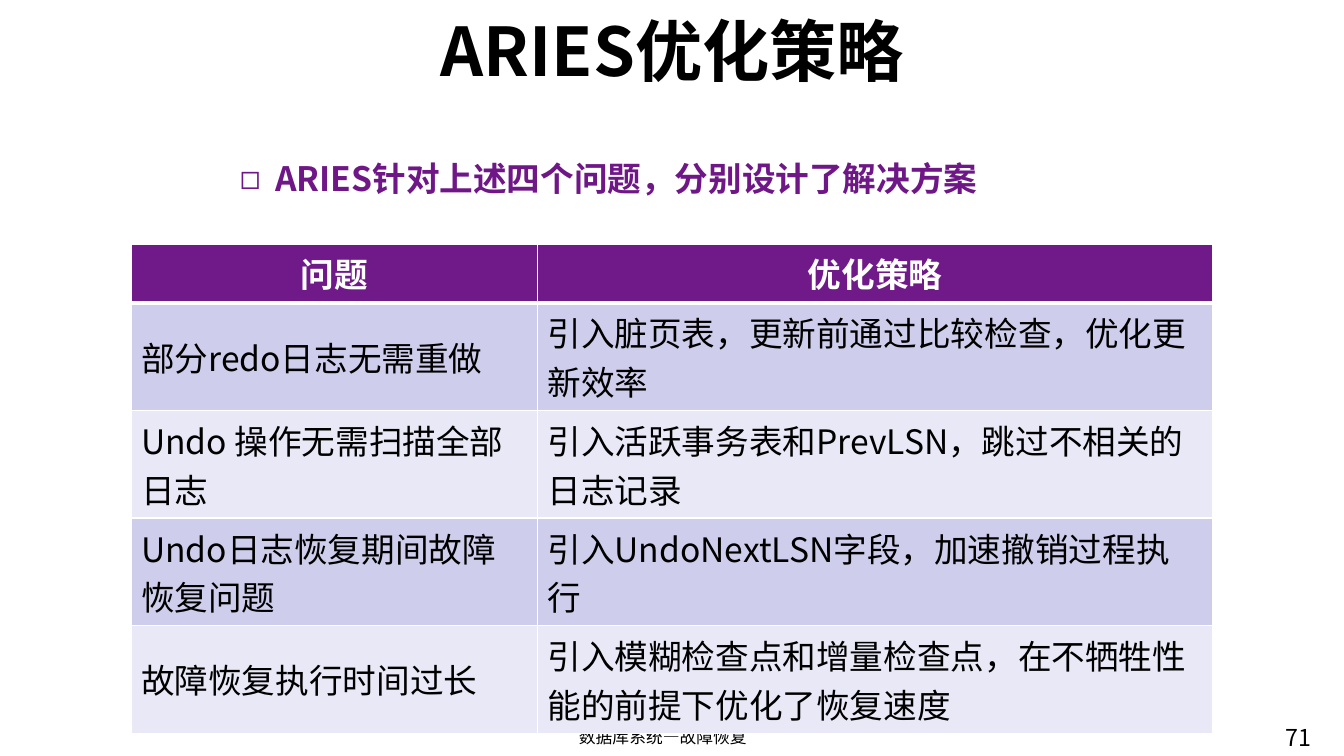
from dataclasses import dataclass

from lxml import etree
from pptx import Presentation
from pptx.dml.color import RGBColor
from pptx.enum import text
from pptx.oxml import ns
from pptx.util import Inches, Pt


@dataclass(frozen=True)
class Theme:
    """Colours, type sizes and font of the slide."""
    font: str = "Noto Sans CJK SC"
    ink: str = "000000"
    white: str = "FFFFFF"
    accent: str = "6F1787"
    header: str = "701988"
    bands: tuple = ("CECEEC", "E8E8F6")
    title: float = 48
    body: float = 24
    number: float = 16.6
    footer: float = 12


THEME = Theme()
WIDTH, HEIGHT = 13.33, 7.5
COLUMNS = (4.03, 6.7)
ROWS = (0.51,) + (0.83,) * 4
STRATEGIES = (
    ("问题", "优化策略"),
    ("部分redo日志无需重做", "引入脏页表，更新前通过比较检查，优化更新效率"),
    ("Undo 操作无需扫描全部日志", "引入活跃事务表和PrevLSN，跳过不相关的日志记录"),
    ("Undo日志恢复期间故障恢复问题", "引入UndoNextLSN字段，加速撤销过程执行"),
    ("故障恢复执行时间过长", "引入模糊检查点和增量检查点，在不牺牲性能的前提下优化了恢复速度"),
)


def add_run(p, words, size, color, bold=False):
    """Add one formatted run to a paragraph."""
    r = p.add_run()
    r.text = words
    r.font.size, r.font.bold, r.font.name = Pt(size), bold, THEME.font
    r.font.color.rgb = RGBColor.from_string(color)
    ea = etree.SubElement(r.font._element, ns.qn("a:ea"))
    ea.set("typeface", THEME.font)


def place(sp, box):
    """Move a shape to a box given in inches."""
    sp.left, sp.top, sp.width, sp.height = map(Inches, box)
    tf = sp.text_frame
    tf.word_wrap, tf.auto_size = True, text.MSO_AUTO_SIZE.NONE
    return tf


def add_title(slide, box):
    """Fill the title placeholder."""
    tf = place(slide.shapes.title, box)
    tf.vertical_anchor = text.MSO_ANCHOR.MIDDLE
    p = tf.paragraphs[0]
    p.alignment = text.PP_ALIGN.CENTER
    add_run(p, "ARIES优化策略", THEME.title, THEME.ink, True)


def add_lead(slide, box):
    """Fill the body placeholder with its bulleted line."""
    tf = place(slide.placeholders[1], box)
    tf.vertical_anchor = text.MSO_ANCHOR.TOP
    p = tf.paragraphs[0]
    p.space_before = Pt(0)
    pPr = p._p.get_or_add_pPr()
    pPr.set("marL", str(Inches(0.35)))
    pPr.set("indent", str(-Inches(0.35)))
    etree.SubElement(pPr, ns.qn("a:buChar")).set("char", "◻")
    add_run(p, "ARIES针对上述四个问题，分别设计了解决方案", THEME.body, THEME.accent, True)


def add_label(slide, box, words, size, align):
    """Add a small text box for the page foot."""
    tf = place(slide.shapes.add_textbox(0, 0, 0, 0), box)
    p = tf.paragraphs[0]
    p.alignment = align
    add_run(p, words, size, THEME.ink)


def set_borders(cell, top, bottom):
    """Draw white borders round a cell, widths in points."""
    tcPr = cell._tc.get_or_add_tcPr()
    for side, width in (("L", 1), ("R", 1), ("T", top), ("B", bottom)):
        ln = etree.SubElement(tcPr, ns.qn(f"a:ln{side}"), w=str(Pt(width)))
        fill = etree.SubElement(ln, ns.qn("a:solidFill"))
        etree.SubElement(fill, ns.qn("a:srgbClr"), val=THEME.white)


def fill_cell(cell, row, words):
    """Write and colour one cell according to its row."""
    head = row == 0
    set_borders(cell, 3 if row == 1 else 1, 3 if head else 1)
    cell.fill.solid()
    color = THEME.header if head else THEME.bands[(row - 1) % 2]
    cell.fill.fore_color.rgb = RGBColor.from_string(color)
    cell.vertical_anchor = text.MSO_ANCHOR.MIDDLE
    p = cell.text_frame.paragraphs[0]
    p.alignment = text.PP_ALIGN.CENTER if head else text.PP_ALIGN.LEFT
    add_run(p, words, THEME.body, THEME.white if head else THEME.ink, head)


def add_strategies(slide, left, top):
    """Add the table of problems and strategies."""
    box = map(Inches, (left, top, sum(COLUMNS), sum(ROWS)))
    table = slide.shapes.add_table(len(ROWS), len(COLUMNS), *box).table
    for column, width in zip(table.columns, COLUMNS):
        column.width = Inches(width)
    for i, (height, texts) in enumerate(zip(ROWS, STRATEGIES)):
        table.rows[i].height = Inches(height)
        for j, words in enumerate(texts):
            fill_cell(table.cell(i, j), i, words)


def main():
    """Build and save the slide."""
    prs = Presentation()
    prs.slide_width, prs.slide_height = Inches(WIDTH), Inches(HEIGHT)
    slide = prs.slides.add_slide(prs.slide_layouts[1])
    add_label(slide, (12.65, 7.13, 0.84, 0.52), "71", THEME.number, text.PP_ALIGN.LEFT)
    add_title(slide, (1.15, 0.12, 11.04, 0.74))
    add_lead(slide, (2.28, 1.52, 11.89, 5.47))
    add_label(slide, (4.47, 7.16, 4.21, 0.34), "数据库系统—故障恢复", THEME.footer, text.PP_ALIGN.CENTER)
    add_strategies(slide, 1.3, 2.42)
    prs.save("out.pptx")


if __name__ == "__main__":
    main()
